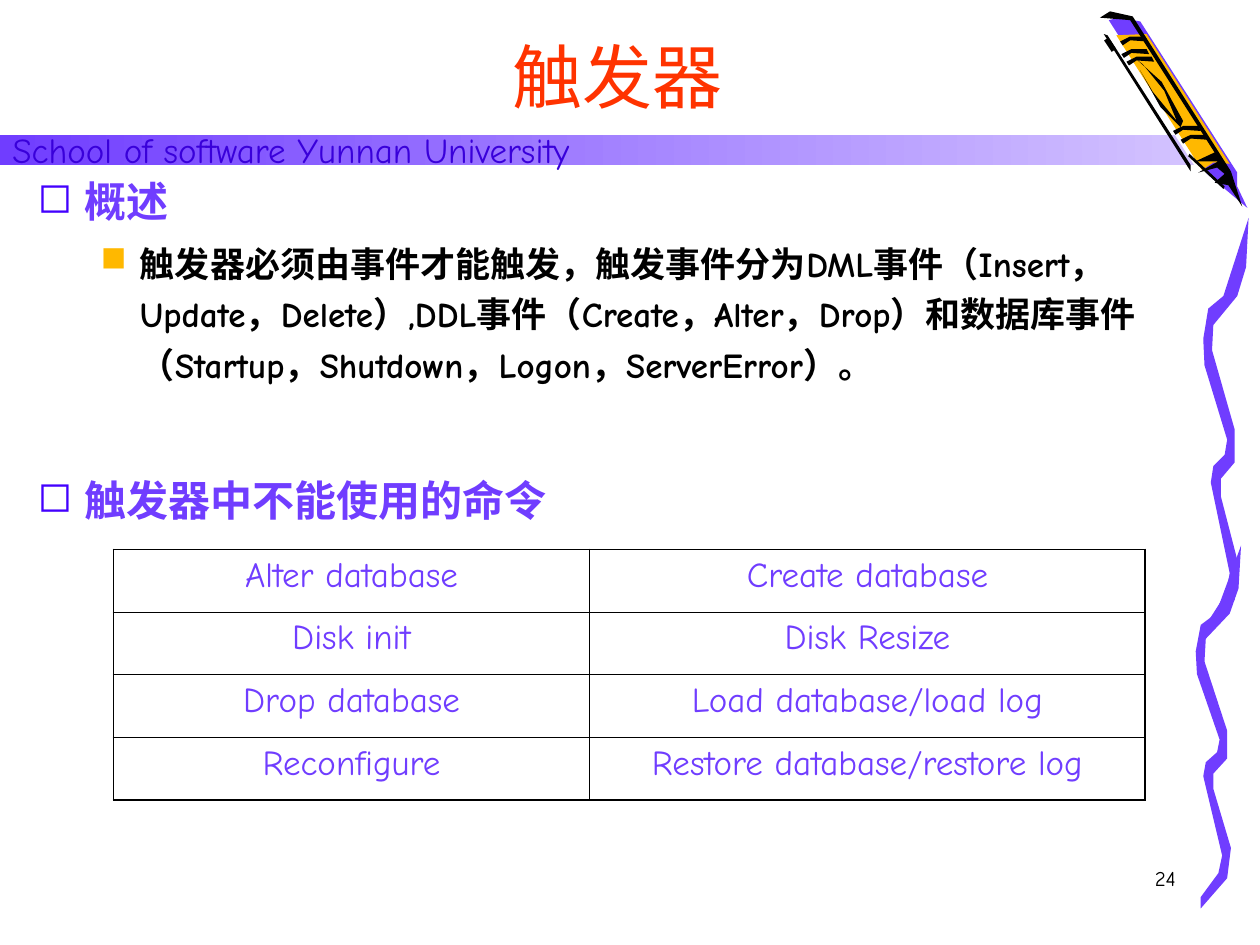
import pptx
import pptx.util
import pptx.dml.color
import pptx.enum.shapes
import pptx.enum.text
import pptx.oxml
import pptx.oxml.ns
import lxml.etree

Pt = pptx.util.Pt
ALIGN = pptx.enum.text.PP_ALIGN
ANCHOR = pptx.enum.text.MSO_ANCHOR
COLOR = {"violet": "703DFF", "pale": "D4C4FF", "blue": "3900DA", "box": "4300FE",
         "gold": "FFB800", "red": "FF3300", "black": "000000", "white": "FFFFFF"}


def rgb(name):
    return pptx.dml.color.RGBColor.from_string(COLOR[name])


def write(frame, text, size=20, color="black", bold=False, align=ALIGN.LEFT,
          before=0, lines=None, bullet=None, tint=None, left=0, hang=0):
    """Fill the empty first paragraph, or add another one."""
    para = frame.paragraphs[0]
    if para.runs:
        para = frame.add_paragraph()
    para.alignment = align
    para.space_before = Pt(before)
    if lines:
        para.line_spacing = lines
    run = para.add_run()
    run.text = text
    run.font.name = "Comic Neue"
    run.font.size = Pt(size)
    run.font.bold = bold
    run.font.color.rgb = rgb(color)
    if bullet:
        props = para._p.get_or_add_pPr()
        props.set("marL", str(Pt(left)))
        props.set("indent", str(-Pt(hang)))
        hue = lxml.etree.SubElement(props, pptx.oxml.ns.qn("a:buClr"))
        lxml.etree.SubElement(hue, pptx.oxml.ns.qn("a:srgbClr"), val=COLOR[tint])
        lxml.etree.SubElement(props, pptx.oxml.ns.qn("a:buChar"), char=bullet)


deck = pptx.Presentation()
deck.slide_width, deck.slide_height = Pt(720), Pt(540)
slide = deck.slides.add_slide(deck.slide_layouts[6])
shapes = slide.shapes

# Banner
band = shapes.add_shape(pptx.enum.shapes.MSO_SHAPE.RECTANGLE, 0, Pt(77), Pt(689), Pt(17.3))
band.shadow.inherit = False
band.line.fill.background()
band.fill.gradient()
band.fill.gradient_angle = 0
for stop, name in zip(band.fill.gradient_stops, ("violet", "pale")):
    stop.color.rgb = rgb(name)
band.text_frame.vertical_anchor = ANCHOR.MIDDLE
write(band.text_frame, "School of software Yunnan University", color="blue")

# Crayon and its trail, in hundredths of an inch: one trail bend, stretched
# for the upper half, and one ink stroke, repeated along the crayon
bend = [(953, 712), (967, 693), (970, 679), (955, 616), (957, 605), (966, 597),
        (968, 587), (950, 535), (949, 517), (953, 496), (965, 487), (985, 433),
        (983, 467), (976, 487), (957, 507), (956, 525), (974, 580), (974, 602),
        (963, 614), (963, 626), (977, 673), (974, 697), (953, 721)]
case = [(880, 16), (958, 138), (990, 165), (982, 148), (982, 137), (905, 17), (888, 14)]
stroke = [(0, 0), (6, -4), (20, -3), (18, -7), (6, -7), (-2, -3)]
art = [
    ("violet", bend),
    ("violet", [(x + 6, 173 + (y - 433) * 1.146) for x, y in bend]),
    ("white", [(x - 7, y - 2) for x, y in case]),
    ("violet", case),
    ("gold", [(954, 135), (963, 129), (976, 130), (910, 27), (886, 28)]),
    ("black", [(943, 124), (971, 150), (972, 148), (944, 122)]),
    ("black", [(905, 56), (921, 85), (937, 101), (939, 96), (922, 65),
               (903, 48), (907, 51), (924, 72), (934, 96), (915, 73)]),
    ("black", [(876, 27), (945, 136), (945, 131), (879, 28)]),
    ("black", [(951, 137), (967, 128), (949, 128), (964, 121), (897, 16), (873, 14),
               (881, 9), (899, 13), (977, 136), (986, 164), (975, 147), (964, 145),
               (972, 138), (966, 133)]),
]
for left, top in ((891, 36), (892, 46), (896, 52), (933, 107), (939, 114)):
    art.append(("black", [(left + x, top + y) for x, y in stroke]))
for name, dots in art:
    pen = shapes.build_freeform(*dots[0], scale=Pt(0.72))
    pen.add_line_segments(dots[1:], close=True)
    form = pen.convert_to_shape()
    form.shadow.inherit = False
    form.fill.solid()
    form.fill.fore_color.rgb = rgb(name)
    form.line.fill.background()

dash = shapes.add_connector(pptx.enum.shapes.MSO_CONNECTOR.STRAIGHT,
                            Pt(632.2), Pt(22.3), Pt(636.5), Pt(28.8))
dash.line.width = Pt(3)
dash.line.color.rgb = rgb("black")
lxml.etree.SubElement(dash._element.spPr, pptx.oxml.ns.qn("a:effectLst"))

# Page number, title and body
frames = []
for box in ((529, 491, 150, 34), (23, 13, 660, 57.6), (14.4, 90.7, 652.3, 428.4)):
    frame = shapes.add_textbox(*map(Pt, box)).text_frame
    frame.word_wrap = True
    frames.append(frame)
page, title, body = frames
write(page, "24", size=12, align=ALIGN.RIGHT)
title.vertical_anchor = ANCHOR.BOTTOM
write(title, "触发器", size=40, color="red", align=ALIGN.CENTER)

head = dict(size=24, color="violet", bold=True, lines=1.2,
            bullet="◻", tint="box", left=27, hang=27)
write(body, "概述", before=6, **head)
write(body, "触发器必须由事件才能触发，触发事件分为DML事件（Insert，Update，Delete）,"
            "DDL事件（Create，Alter，Drop）和数据库事件（Startup，Shutdown，Logon，ServerError）。",
      bold=True, before=5, lines=1.2, bullet="■", tint="gold", left=58.5, hang=22.5)
write(body, "触发器中不能使用的命令", before=45, **head)

# Table of commands
rows = [("Alter database", "Create database"),
        ("Disk init", "Disk Resize"),
        ("Drop database", "Load database/load log"),
        ("Reconfigure", "Restore database/restore log")]
grid = shapes.add_table(4, 2, Pt(64.8), Pt(314), Pt(589.7), Pt(143.2)).table
grid.first_row = grid.horz_banding = False
grid.columns[0].width, grid.columns[1].width = Pt(272.2), Pt(317.5)
for r, row in enumerate(rows):
    grid.rows[r].height = Pt(35.8)
    for c, text in enumerate(row):
        cell = grid.cell(r, c)
        write(cell.text_frame, text, color="violet", align=ALIGN.CENTER, before=5)
        props = cell._tc.get_or_add_tcPr()
        edges = {"L": c == 0, "R": c == 1, "T": r == 0, "B": r == 3}
        for side, outer in edges.items():
            width = Pt(1.08 if outer else 0.45)
            props.append(pptx.oxml.parse_xml(
                f'<a:ln{side} {pptx.oxml.ns.nsdecls("a")} w="{width}"><a:solidFill>'
                f'<a:srgbClr val="{COLOR["black"]}"/></a:solidFill></a:ln{side}>'))
        cell.fill.background()

deck.save("out.pptx")
